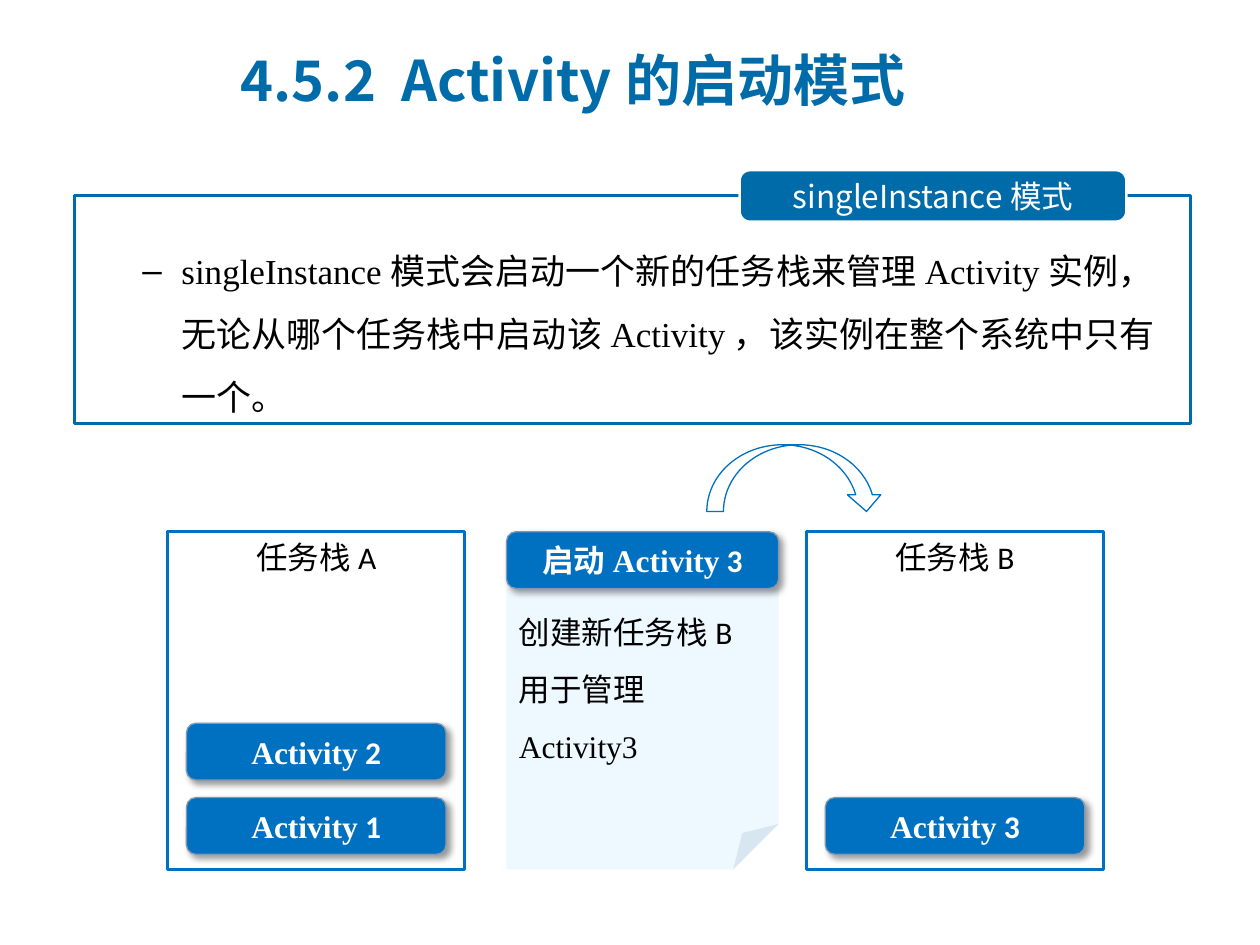
import pptx
import pptx.dml.color
import pptx.enum.shapes
import pptx.enum.text
import pptx.oxml
import pptx.oxml.ns
import pptx.util
from pptx.util import Inches

RGBColor = pptx.dml.color.RGBColor
SHAPE = pptx.enum.shapes.MSO_SHAPE
ALIGN = pptx.enum.text.PP_ALIGN
ANCHOR = pptx.enum.text.MSO_ANCHOR

DEEP_BLUE = RGBColor(0x00, 0x6B, 0xA9)
BLUE = RGBColor(0x00, 0x70, 0xC0)
PALE_BLUE = RGBColor(0xC5, 0xE8, 0xFF)
GREY_BLUE = RGBColor(0x84, 0x97, 0xB0)
WHITE = RGBColor(0xFF, 0xFF, 0xFF)
BLACK = RGBColor(0x00, 0x00, 0x00)

SANS = "Noto Sans CJK SC"
LATIN = "Calibri"
SERIF = "Times New Roman"
NAMESPACE = pptx.oxml.ns.nsdecls("a")
SHADOW = (
    f'<a:effectLst {NAMESPACE}><a:outerShdw blurRad="50800" dist="38100" dir="2700000" '
    'algn="tl" rotWithShape="0"><a:srgbClr val="000000"><a:alpha val="40000"/>'
    "</a:srgbClr></a:outerShdw></a:effectLst>"
)


def place(shape, box):
    """Move a shape to a box of left, top, width and height in inches."""
    shape.left, shape.top, shape.width, shape.height = (Inches(length) for length in box)


def write(shape, runs, size, color, bold=False, frame_format=None, paragraph_format=None):
    """Write one paragraph of (text, font name) runs and return it."""
    frame = shape.text_frame
    for name, value in {"word_wrap": True, **(frame_format or {})}.items():
        setattr(frame, name, value)
    paragraph = frame.paragraphs[0]
    for name, value in (paragraph_format or {}).items():
        setattr(paragraph, name, value)
    for text, font_name in runs:
        run = paragraph.add_run()
        run.text = text
        run.font.color.rgb = color
        font_format = {"name": font_name, "size": pptx.util.Pt(size), "bold": bold}
        for name, value in font_format.items():
            setattr(run.font, name, value)
        run.font._element.append(
            pptx.oxml.parse_xml(f'<a:ea {NAMESPACE} typeface="{SANS}"/>'))
    return paragraph


def add_shape(slide, kind, box, fill=None, line=None, line_width=1.5):
    """Add a preset shape without a shadow, with optional fill and line."""
    shape = slide.shapes.add_shape(kind, *(Inches(length) for length in box))
    shape.shadow.inherit = False
    for part, color in ((shape.fill, fill), (shape.line.fill, line)):
        if color is None:
            part.background()
        else:
            part.solid()
            part.fore_color.rgb = color
    if line is not None:
        shape.line.width = pptx.util.Pt(line_width)
    return shape


def add_title(slide, box):
    """Fill the title placeholder."""
    title = slide.shapes.title
    place(title, box)
    write(title, [("4.5.2  Activity的启动模式", SANS)], 32, DEEP_BLUE, True,
          {"vertical_anchor": ANCHOR.MIDDLE}, {"alignment": ALIGN.LEFT})


def add_definition(slide, box):
    """Add the framed definition with its label on the top edge."""
    left, top, width, height = box
    add_shape(slide, SHAPE.RECTANGLE, box, line=DEEP_BLUE)
    label = add_shape(slide, SHAPE.ROUNDED_RECTANGLE,
                      (left + 5.28, top - 0.2, 3.07, 0.41), DEEP_BLUE, WHITE)
    label.adjustments[0] = 0.2
    write(label, [("singleInstance模式", SANS)], 18, WHITE,
          frame_format={"vertical_anchor": ANCHOR.MIDDLE},
          paragraph_format={"alignment": ALIGN.CENTER})
    body = slide.placeholders[1]
    place(body, (left - 0.06, top + 0.21, width - 0.05, 1.08))
    runs = [
        ("singleInstance模式会启动一个新的任务栈来管理Activity实例，"
         "无论从哪个任务栈中启动该Activity，", SERIF),
        ("该实例在整个系统中只有一个。", LATIN),
    ]
    paragraph = write(body, runs, 20, BLACK,
                      frame_format={"auto_size": pptx.enum.text.MSO_AUTO_SIZE.NONE},
                      paragraph_format={"level": 1, "line_spacing": 1.5})
    properties = paragraph._p.get_or_add_pPr()
    properties.set("marL", str(Inches(0.81)))
    properties.set("indent", str(Inches(-0.31)))
    properties.append(pptx.oxml.parse_xml(f'<a:buChar {NAMESPACE} char="–"/>'))


def add_button(slide, box, runs):
    """Add a rounded blue button with a soft shadow."""
    button = add_shape(slide, SHAPE.ROUNDED_RECTANGLE, box, BLUE, GREY_BLUE, 0.75)
    properties = button._element.spPr
    properties.remove(properties.find(pptx.oxml.ns.qn("a:effectLst")))
    properties.append(pptx.oxml.parse_xml(SHADOW))
    write(button, runs, 18, WHITE, True, {"vertical_anchor": ANCHOR.MIDDLE},
          {"alignment": ALIGN.CENTER})


def add_stack(slide, box, name, numbers):
    """Add a task stack whose activities pile up from the bottom."""
    left, top, width, height = box
    frame = add_shape(slide, SHAPE.RECTANGLE, box, line=BLUE)
    write(frame, [(name, LATIN)], 18, BLACK, frame_format={"vertical_anchor": ANCHOR.TOP},
          paragraph_format={"alignment": ALIGN.CENTER})
    for position, number in enumerate(numbers):
        button_top = top + height - 0.57 - 0.59 * position
        add_button(slide, (left + 0.15, button_top, width - 0.3, 0.45),
                   [("Activity", SERIF), (f" {number}", LATIN)])


def add_launch_note(slide, box):
    """Add the launch note with its heading button."""
    left, top, width, height = box
    note = add_shape(slide, SHAPE.FOLDED_CORNER,
                     (left, top + 0.45, width, height - 0.45), PALE_BLUE)
    color = note._element.spPr.find(
        f"{pptx.oxml.ns.qn('a:solidFill')}/{pptx.oxml.ns.qn('a:srgbClr')}")
    color.append(pptx.oxml.parse_xml(f'<a:alpha {NAMESPACE} val="28000"/>'))
    write(note, [("创建新任务栈B用于管理", LATIN), ("Activity3", SERIF)], 18, BLACK,
          frame_format={"vertical_anchor": ANCHOR.TOP},
          paragraph_format={"alignment": ALIGN.LEFT, "line_spacing": 1.5})
    add_button(slide, (left, top, width, 0.45),
               [("启动", LATIN), ("Activity", SERIF), (" 3", LATIN)])


def main():
    """Build the slide and save it."""
    presentation = pptx.Presentation()
    presentation.slide_width = Inches(10)
    presentation.slide_height = Inches(7.5)
    slide = presentation.slides.add_slide(presentation.slide_layouts[1])
    add_title(slide, (1.81, 0.21, 6.7, 0.84))
    add_definition(slide, (0.59, 1.55, 8.86, 1.81))
    add_stack(slide, (1.33, 4.22, 2.36, 2.68), "任务栈A", [1, 2])
    add_launch_note(slide, (4.02, 4.22, 2.16, 2.68))
    add_stack(slide, (6.4, 4.22, 2.36, 2.68), "任务栈B", [3])
    add_shape(slide, SHAPE.CURVED_DOWN_ARROW, (5.61, 3.53, 1.4, 0.53),
              line=BLUE, line_width=0.75)
    presentation.save("out.pptx")


if __name__ == "__main__":
    main()
